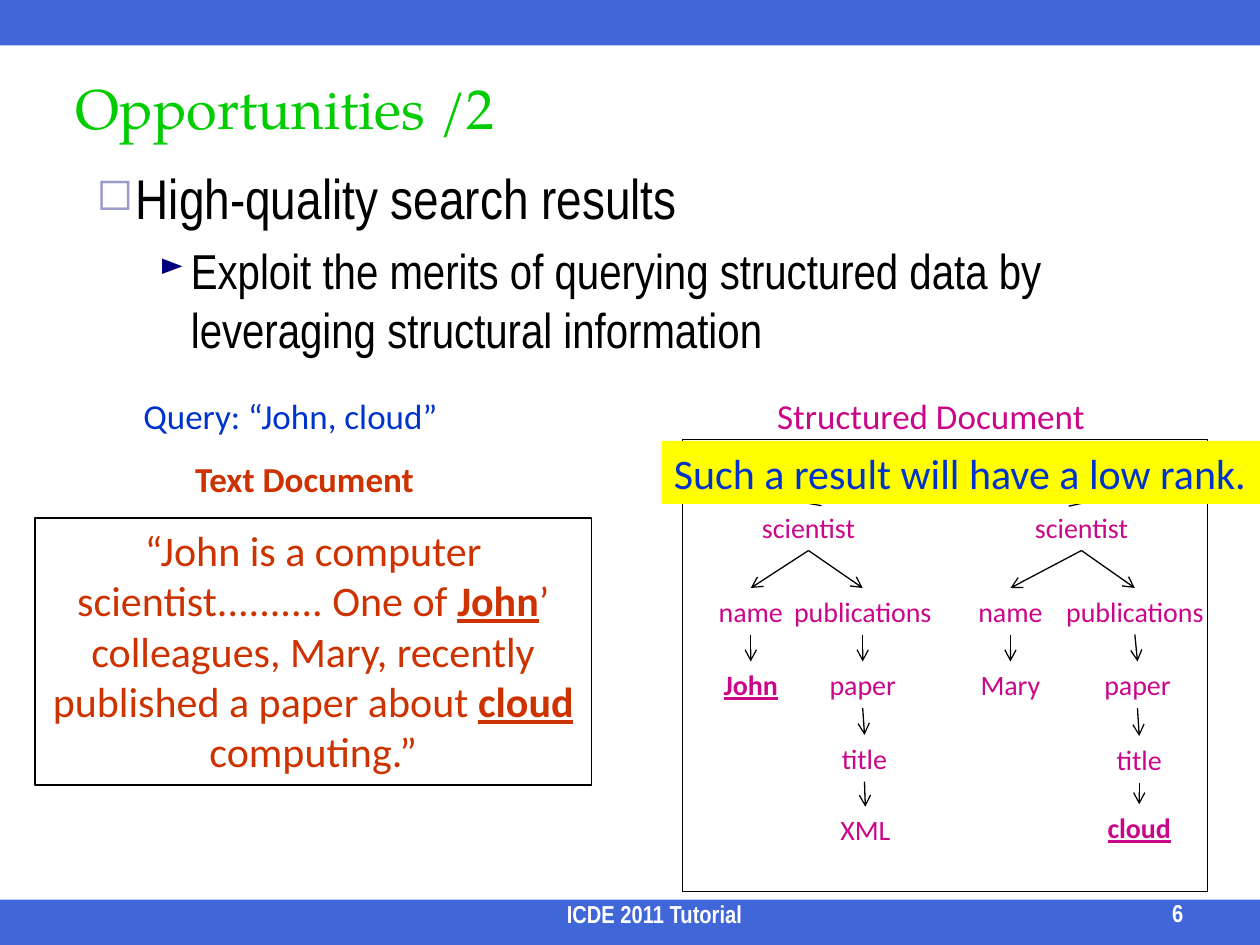
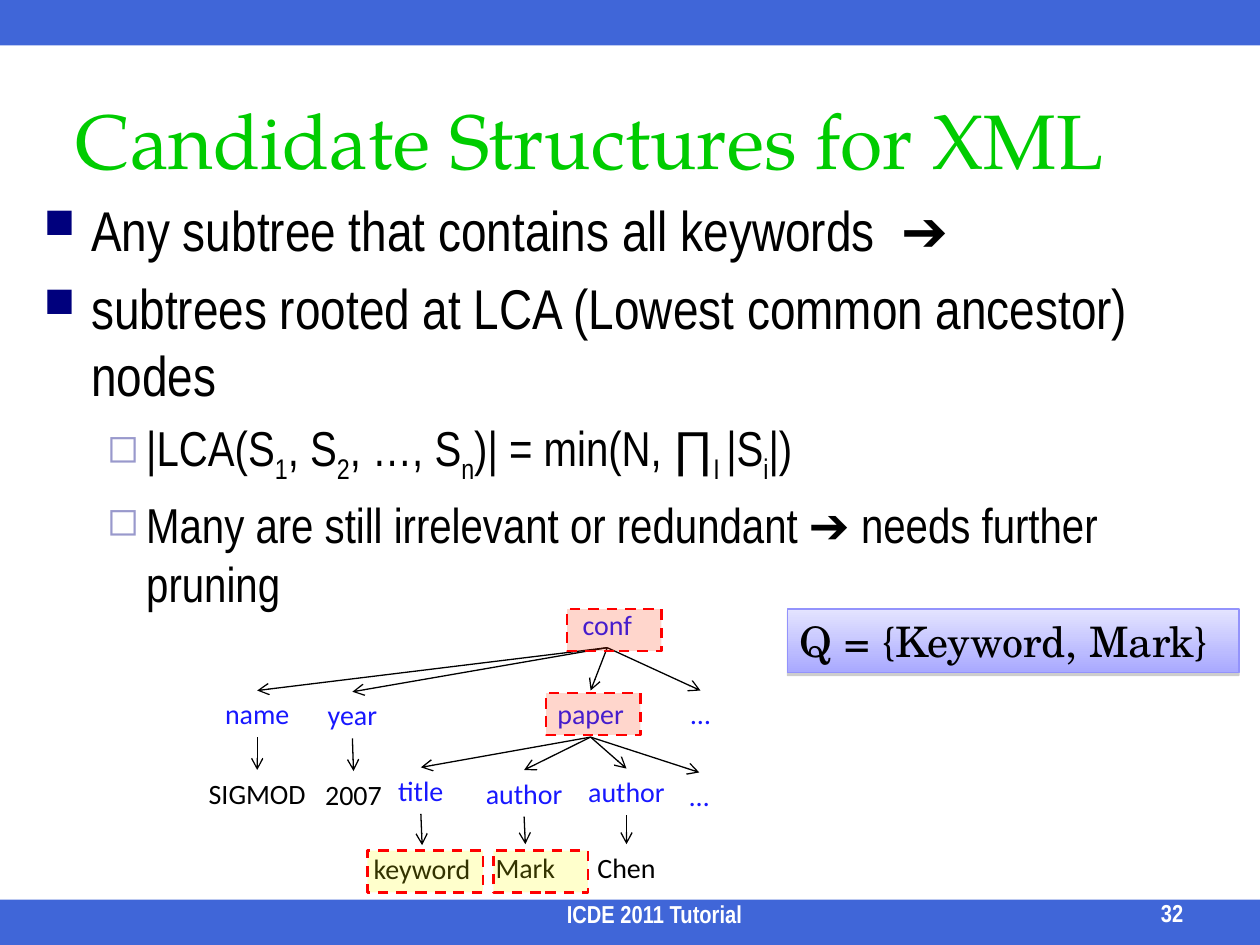
from lxml.etree import SubElement
from pptx import Presentation
from pptx.dml.color import RGBColor
from pptx.enum.dml import MSO_LINE
from pptx.enum.shapes import MSO_CONNECTOR, MSO_SHAPE
from pptx.enum.text import MSO_ANCHOR, MSO_AUTO_SIZE, PP_ALIGN
from pptx.oxml.ns import qn
from pptx.util import Pt

COLORS = {
    "black": "000000", "white": "FFFFFF", "blue": "0033CC", "green": "00CC00",
    "brick": "CC3300", "magenta": "CA0689", "label": "1818FF", "navy": "00007D",
    "lavender": "9999CC", "yellow": "FFFF00", "orange": "FF3300", "red": "FF0000",
    "query_top": "E4E4FF", "query_bottom": "A9A9FF", "query_edge": "9393FC",
    "shade": "808080",
}
FONTS = {
    "title": ("TeX Gyre Pagella", 32, "green", {}),
    "wide_title": ("TeX Gyre Pagella", 44, "green", {}),
    "body": ("Arial Narrow", 32, "black", {}),
    "detail": ("Arial Narrow", 28, "black", {}),
    "footer": ("Arial Narrow", 14, "white", {"bold": True}),
    "query": ("Calibri", 20, "blue", {}),
    "remark": ("Calibri", 24, "blue", {}),
    "structured": ("Calibri", 20, "magenta", {}),
    "text_heading": ("Calibri", 20, "brick", {"bold": True}),
    "passage": ("Calibri", 24, "brick", {}),
    "element": ("Calibri", 16, "magenta", {}),
    "match": ("Calibri", 16, "magenta", {"bold": True, "underline": True}),
    "tag": ("Calibri", 16, "label", {}),
    "value": ("Calibri", 16, "black", {}),
    "keywords": ("TeX Gyre Schola", 24, "black", {}),
}
BULLETS = {
    "square": ("■", "navy", 75, 27, 27),
    "hollow": ("◻", "lavender", 80, 58.5, 22.5),
    "arrow": ("►", "navy", 65, 90, 18),
}
HIT = {"bold": True, "underline": True}
NODE_HEIGHT = 26.6
BAND_HEIGHT = 26


def assign(target, values):
    for attribute, value in values.items():
        setattr(target, attribute, value)


def rgb(color):
    return RGBColor.from_string(COLORS[color])


class Deck:
    def __init__(self):
        self.presentation = Presentation()
        assign(self.presentation, {"slide_width": Pt(720), "slide_height": Pt(540)})
        self.slide = None

    def start(self, title, style, box, number):
        layout = self.presentation.slide_layouts[5]
        self.slide = self.presentation.slides.add_slide(layout)
        for top in (540 - BAND_HEIGHT, 0):
            self.block((0, top, 720, BAND_HEIGHT), "blue", opacity=75)
        heading = self.slide.shapes.title
        left, top, width, height = map(Pt, box)
        assign(heading, {"left": left, "top": top, "width": width, "height": height})
        self.put_words(heading, title, style, PP_ALIGN.LEFT, MSO_ANCHOR.MIDDLE)
        self.text((167, 517, 414, 17.3), "ICDE 2011 Tutorial", "footer",
                  anchor=MSO_ANCHOR.BOTTOM)
        self.text((592.6, 516.2, 90.7, 17.3), number, "footer",
                  PP_ALIGN.RIGHT, MSO_ANCHOR.BOTTOM)

    def frame(self, shape, anchor):
        assign(shape.text_frame, {"word_wrap": True, "auto_size": MSO_AUTO_SIZE.NONE,
                                  "vertical_anchor": anchor})

    def fill_paragraph(self, paragraph, parts, style):
        name, size, color, extras = FONTS[style]
        if isinstance(parts, str):
            parts = [(parts, {})]
        for words, changes in parts:
            run = paragraph.add_run()
            run.text = words
            values = {"name": name, "size": Pt(size), **extras, **changes}
            baseline = values.pop("baseline", None)
            assign(run.font, values)
            run.font.color.rgb = rgb(color)
            if baseline:
                run._r.get_or_add_rPr().set("baseline", str(baseline * 1000))

    def put_words(self, shape, parts, style, align, anchor):
        self.frame(shape, anchor)
        paragraph = shape.text_frame.paragraphs[0]
        paragraph.alignment = align
        self.fill_paragraph(paragraph, parts, style)

    def text(self, box, parts, style, align=PP_ALIGN.CENTER, anchor=MSO_ANCHOR.TOP):
        label = self.slide.shapes.add_textbox(*map(Pt, box))
        self.put_words(label, parts, style, align, anchor)
        return label

    def outline(self, box, items):
        body = self.slide.shapes.add_textbox(*map(Pt, box))
        self.frame(body, MSO_ANCHOR.TOP)
        for index, (level, bullet, style, parts) in enumerate(items):
            frame = body.text_frame
            paragraph = frame.add_paragraph() if index else frame.paragraphs[0]
            assign(paragraph, {"level": level, "space_before": Pt(FONTS[style][1] * 0.2)})
            char, color, percent, margin, hanging = BULLETS[bullet]
            properties = paragraph._p.get_or_add_pPr()
            properties.set("marL", str(Pt(margin)))
            properties.set("indent", str(-Pt(hanging)))
            tint = SubElement(properties, qn("a:buClr"))
            SubElement(tint, qn("a:srgbClr"), val=COLORS[color])
            SubElement(properties, qn("a:buSzPct"), val=str(percent * 1000))
            SubElement(properties, qn("a:buChar"), char=char)
            self.fill_paragraph(paragraph, parts, style)

    def block(self, box, fill=None, opacity=100, edge=None, width=0.75, dash=None):
        shape = self.slide.shapes.add_shape(MSO_SHAPE.RECTANGLE, *map(Pt, box))
        shape.shadow.inherit = False
        if fill:
            shape.fill.solid()
            shape.fill.fore_color.rgb = rgb(fill)
            if opacity < 100:
                tint = shape._element.spPr.find(".//" + qn("a:srgbClr"))
                SubElement(tint, qn("a:alpha"), val=str(opacity * 1000))
        else:
            shape.fill.background()
        if edge:
            shape.line.color.rgb = rgb(edge)
            assign(shape.line, {"width": Pt(width), "dash_style": dash})
        else:
            shape.line.fill.background()
        return shape

    def query_box(self, box, words):
        shape = self.block(box, edge="query_edge")
        shape.fill.gradient()
        shape.fill.gradient_angle = 270
        for stop, position, color in zip(shape.fill.gradient_stops, (0, 1),
                                         ("query_top", "query_bottom")):
            stop.position = position
            stop.color.rgb = rgb(color)
        effects = shape._element.spPr.find(qn("a:effectLst"))
        shadow = SubElement(effects, qn("a:outerShdw"), blurRad="0", dist=str(Pt(1.6)),
                            dir="5400000", rotWithShape="0")
        tint = SubElement(shadow, qn("a:srgbClr"), val=COLORS["shade"])
        SubElement(tint, qn("a:alpha"), val="38000")
        self.put_words(shape, words, "keywords", PP_ALIGN.LEFT, MSO_ANCHOR.TOP)

    def arrow(self, child, parent=None, start=(0, 0)):
        x, y = map(Pt, start)
        link = self.slide.shapes.add_connector(MSO_CONNECTOR.STRAIGHT, x, y, x, y)
        if parent is not None:
            link.begin_connect(parent, 2)
        link.end_connect(child, 0)
        link.line.color.rgb = rgb("black")
        link.line.width = Pt(0.75)
        SubElement(link.line._get_or_add_ln(), qn("a:tailEnd"), type="arrow")
        SubElement(link._element.spPr, qn("a:effectLst"))

    def tree(self, nodes):
        placed = []
        for words, style, center, top, width, parent in nodes:
            node = self.text((center - width / 2, top, width, NODE_HEIGHT), words, style)
            if parent is not None:
                self.arrow(node, placed[parent])
            placed.append(node)
        return placed[0]


def opportunities(deck):
    deck.start("Opportunities /2", "title", (36, 18, 684, 86.4), "6")
    deck.outline((12, 90, 660, 350.6), [
        (1, "hollow", "body", "High-quality search results"),
        (2, "arrow", "detail", "Exploit the merits of querying structured data by "
                               "leveraging structural information"),
    ])
    deck.text((34, 221.8, 264, 31.7), "Query: “John, cloud”", "query")
    passage = deck.block((20, 296, 318, 152.6), edge="black")
    deck.put_words(passage, [
        ("“John is a computer scientist.......... One of ", {}), ("John", HIT),
        ("’ colleagues, Mary, recently published a paper about ", {}),
        ("cloud", HIT), (" computing.”", {}),
    ], "passage", PP_ALIGN.CENTER, MSO_ANCHOR.TOP)

    john = [
        ("scientist", "element", 462, 288, 72, None),
        ("name", "element", 429, 336, 60, 0),
        ("publications", "element", 493, 336, 96, 0),
        ("John", "match", 429, 378, 78, 1),
        ("paper", "element", 493, 378, 55, 2),
        ("title", "element", 494, 420, 50.4, 4),
        ("XML", "element", 494.5, 461, 109, 5),
    ]
    mary = [
        ("scientist", "element", 618, 288, 72, None),
        ("name", "element", 577.4, 336, 62.6, 0),
        ("publications", "element", 648.5, 336, 96, 0),
        ("Mary", "element", 577.4, 378, 72, 1),
        ("paper", "element", 650, 378, 56, 2),
        ("title", "element", 651, 420.6, 50.4, 4),
        ("cloud", "match", 651, 459.6, 96, 5),
    ]
    for branch in (john, mary):
        deck.arrow(deck.tree(branch), start=(534, 264))
    deck.block((390, 251, 300, 258.6), edge="black")
    deck.text((433, 221.8, 198, 31.7), "Structured Document", "structured")
    deck.text((42, 258, 264, 31.7), "Text Document", "text_heading")
    remark = deck.block((378, 252, 342, 36), "yellow")
    deck.put_words(remark, "Such a result will have a low rank.", "remark",
                   PP_ALIGN.LEFT, MSO_ANCHOR.TOP)


def candidate_structures(deck):
    deck.start("Candidate Structures for XML", "wide_title", (36, 36, 666, 86.4), "32")
    sub = {"baseline": -25}
    deck.outline((18, 108, 648, 368.6), [
        (0, "square", "body", "Any subtree that contains all keywords  ➔"),
        (0, "square", "body", "subtrees rooted at LCA (Lowest common ancestor) nodes"),
        (1, "hollow", "detail", [
            ("|LCA(S", {}), ("1", sub), (", S", {}), ("2", sub), (", …, S", {}),
            ("n", sub), (")| = min(N, ∏", {}), ("I ", sub), ("|S", {}), ("i", sub),
            ("|)", {})]),
        (1, "hollow", "detail",
         "Many are still irrelevant or redundant ➔ needs further pruning"),
    ])
    deck.tree([
        ("conf", "tag", 347, 343.5, 44.6, None),
        ("name", "tag", 147, 394.6, 54.7, 0),
        ("year", "tag", 201.4, 395.3, 47.5, 0),
        ("paper", "tag", 337.5, 394.6, 58.3, 0),
        ("…", "tag", 400.3, 394.6, 50.4, 0),
        ("SIGMOD", "value", 147, 440, 76.3, 1),
        ("2007", "value", 202, 440.6, 67, 2),
        ("title", "tag", 240.5, 438.5, 50.4, 3),
        ("author", "tag", 299.5, 440, 62, 3),
        ("author", "tag", 358, 439.2, 65.5, 3),
        ("…", "tag", 399.6, 441.4, 50.4, 3),
        ("keyword", "value", 241.2, 483, 75, 7),
        ("Mark", "value", 300.2, 482.4, 59, 8),
        ("Chen", "value", 358, 482.4, 57, 9),
    ])
    deck.query_box((450, 348, 258, 36.4), "Q = {Keyword, Mark}")
    for left, top, width, tint in (
        (210, 486, 66, "yellow"),
        (282, 486, 54, "yellow"),
        (312, 396, 54, "orange"),
        (324, 348, 54, "orange"),
    ):
        deck.block((left, top, width, 24), tint, 20, "red", 1.5, MSO_LINE.DASH)


def main():
    deck = Deck()
    opportunities(deck)
    candidate_structures(deck)
    deck.presentation.save("out.pptx")


if __name__ == "__main__":
    main()
